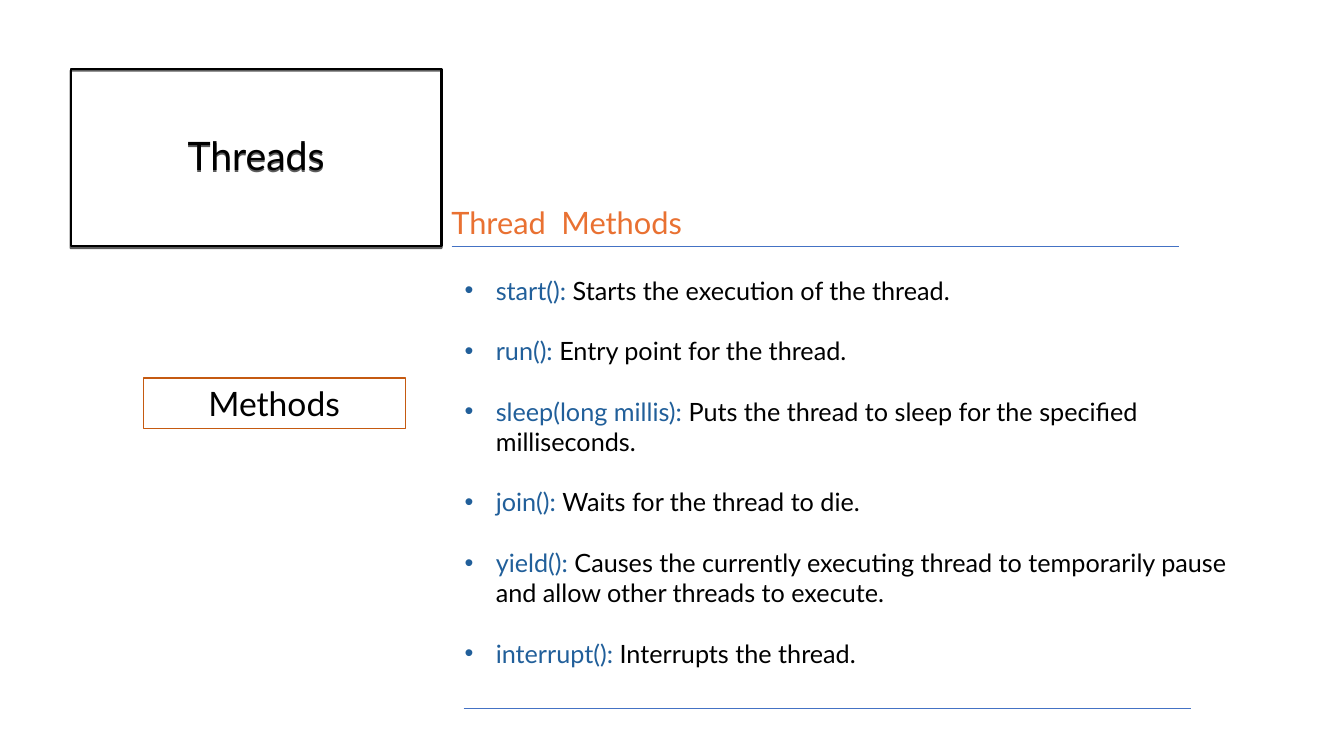
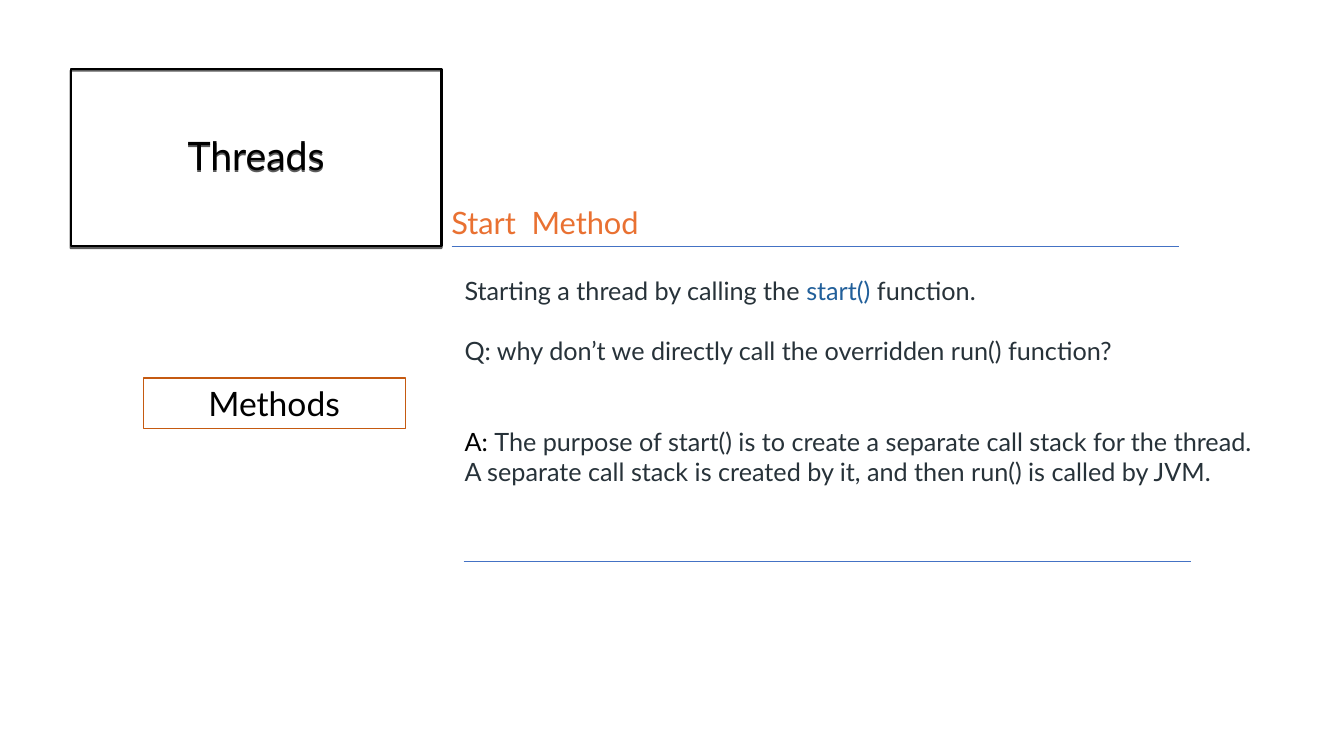
from dataclasses import dataclass

from lxml.etree import SubElement
from pptx import Presentation
from pptx.dml.color import RGBColor
from pptx.enum.shapes import MSO_CONNECTOR as Connector, MSO_SHAPE as Shape
from pptx.enum.text import MSO_ANCHOR as Anchor, MSO_AUTO_SIZE as AutoSize, PP_ALIGN as Align
from pptx.oxml.ns import qn
from pptx.util import Inches, Pt

SLIDE_WIDTH, SLIDE_HEIGHT = Inches(13.33), Inches(7.5)


@dataclass(frozen=True)
class Theme:
    font: str = "Lato"
    ink: str = "000000"
    slate: str = "273239"
    code: str = "215F9A"
    heading: str = "E97132"
    rule: str = "4472C4"
    topic_border: str = "C55A11"
    title_size: int = 28
    topic_size: int = 24
    heading_size: int = 22
    body_size: int = 18
    body_line: float = 21.6  # height of one body line in points


THEME = Theme()

# Left, top, width, height in percent of the slide
TITLE_AREA = (5.25, 9.07, 27.6, 23.47)
TOPIC_AREA = (10.65, 50, 19.5, 6.67)
HEADING_AREA = (32.85, 26.27, 50, 6.27)
BODY_LEFT, BODY_TOP, BODY_WIDTH = 33.83, 35.73, 60.6
HEADING_RULE = (33.6, 32.53)
CLOSING_RULE_LEFT = 34.5
RULE_WIDTH = 54.1
BULLET_INDENT = Inches(0.31)

METHODS = [
    ("start(): ", "Starts the execution of the thread."),
    ("run(): ", "Entry point for the thread."),
    ("sleep(long millis): ", "Puts the thread to sleep for the specified milliseconds."),
    ("join(): ", "Waits for the thread to die."),
    ("yield(): ", "Causes the currently executing thread to temporarily pause "
                  "and allow other threads to execute."),
    ("interrupt(): ", "Interrupts the thread."),
]

# Blank lines above the paragraph, then its coloured spans
START_NOTES = [
    (0, [("Starting a thread by calling the ", THEME.slate),
         ("start() ", THEME.code),
         ("function.", THEME.slate)]),
    (1, [("Q: why don’t we directly call the overridden run() function?", THEME.slate)]),
    (2, [("A: ", THEME.ink),
         ("The purpose of start() is to create a separate call stack for the thread. "
          "A separate call stack is created by it, and then run() is called by JVM.",
          THEME.slate)]),
]


def across(percent):
    return round(SLIDE_WIDTH * percent / 100)


def down(percent):
    return round(SLIDE_HEIGHT * percent / 100)


def place(area):
    left, top, width, height = area
    return across(left), down(top), across(width), down(height)


def colour(value):
    return RGBColor.from_string(value)


def set_font(para, size, value):
    para.font.name = THEME.font
    para.font.size = Pt(size)
    para.font.color.rgb = colour(value)


def add_framed_label(page, area, text, size, border, weight):
    box = page.shapes.add_shape(Shape.RECTANGLE, *place(area))
    box.shadow.inherit = False
    box.fill.background()
    box.line.color.rgb = colour(border)
    box.line.width = Pt(weight)
    box.text_frame.word_wrap = True
    box.text_frame.vertical_anchor = Anchor.MIDDLE
    para = box.text_frame.paragraphs[0]
    para.text = text
    para.alignment = Align.CENTER
    set_font(para, size, THEME.ink)
    return box


def add_drop_shadow(box):
    """Cast a sharp shadow straight down from the outline and its text."""
    effects = box._element.spPr.find(qn("a:effectLst"))
    shadow = SubElement(effects, qn("a:outerShdw"), dist=str(Pt(1.5)),
                        dir="5400000", algn="ctr", rotWithShape="0")
    tint = SubElement(shadow, qn("a:srgbClr"), val=THEME.ink)
    SubElement(tint, qn("a:alpha"), val="63000")


def add_rule(page, left, top):
    rule = page.shapes.add_connector(Connector.STRAIGHT, across(left), down(top),
                                     across(left + RULE_WIDTH), down(top))
    rule.line.color.rgb = colour(THEME.rule)
    rule.line.width = Pt(0.5)
    SubElement(rule._element.spPr, qn("a:effectLst"))


def add_text_frame(page, area):
    frame = page.shapes.add_textbox(*place(area)).text_frame
    frame.word_wrap = True
    frame.auto_size = AutoSize.SHAPE_TO_FIT_TEXT
    return frame


def add_bullet(para):
    props = para._p.get_or_add_pPr()
    props.set("marL", str(BULLET_INDENT))
    props.set("indent", str(-BULLET_INDENT))
    SubElement(props, qn("a:buFont"), typeface="Arial")
    SubElement(props, qn("a:buChar"), char="•")


def add_body(page, height, notes, bulleted=False):
    frame = add_text_frame(page, (BODY_LEFT, BODY_TOP, BODY_WIDTH, height))
    for index, (blank_lines, spans) in enumerate(notes):
        para = frame.add_paragraph() if index else frame.paragraphs[0]
        para.space_before = Pt(blank_lines * THEME.body_line)
        if bulleted:
            add_bullet(para)
        set_font(para, THEME.body_size, THEME.ink)
        for text, value in spans:
            span = para.add_run()
            span.text = text
            span.font.color.rgb = colour(value)


def add_page(deck, heading, closing_rule_top):
    """Add a slide with the title, topic, heading and rules that all slides share."""
    page = deck.slides.add_slide(deck.slide_layouts[6])
    title = add_framed_label(page, TITLE_AREA, "Threads", THEME.title_size, THEME.ink, 1.5)
    title.text_frame.paragraphs[0].line_spacing = 0.9
    add_drop_shadow(title)
    add_rule(page, *HEADING_RULE)
    add_rule(page, CLOSING_RULE_LEFT, closing_rule_top)
    add_framed_label(page, TOPIC_AREA, "Methods", THEME.topic_size, THEME.topic_border, 0.75)
    para = add_text_frame(page, HEADING_AREA).paragraphs[0]
    para.text = heading
    set_font(para, THEME.heading_size, THEME.heading)
    return page


def main():
    deck = Presentation()
    deck.slide_width, deck.slide_height = SLIDE_WIDTH, SLIDE_HEIGHT

    method_notes = [(min(index, 1), [(name, THEME.code), (purpose, THEME.ink)])
                    for index, (name, purpose) in enumerate(METHODS)]
    page = add_page(deck, "Thread  Methods", closing_rule_top=93.73)
    add_body(page, 49.87, method_notes, bulleted=True)

    page = add_page(deck, "Start  Method", closing_rule_top=74.27)
    add_body(page, 29.6, START_NOTES)

    deck.save("out.pptx")


if __name__ == "__main__":
    main()
